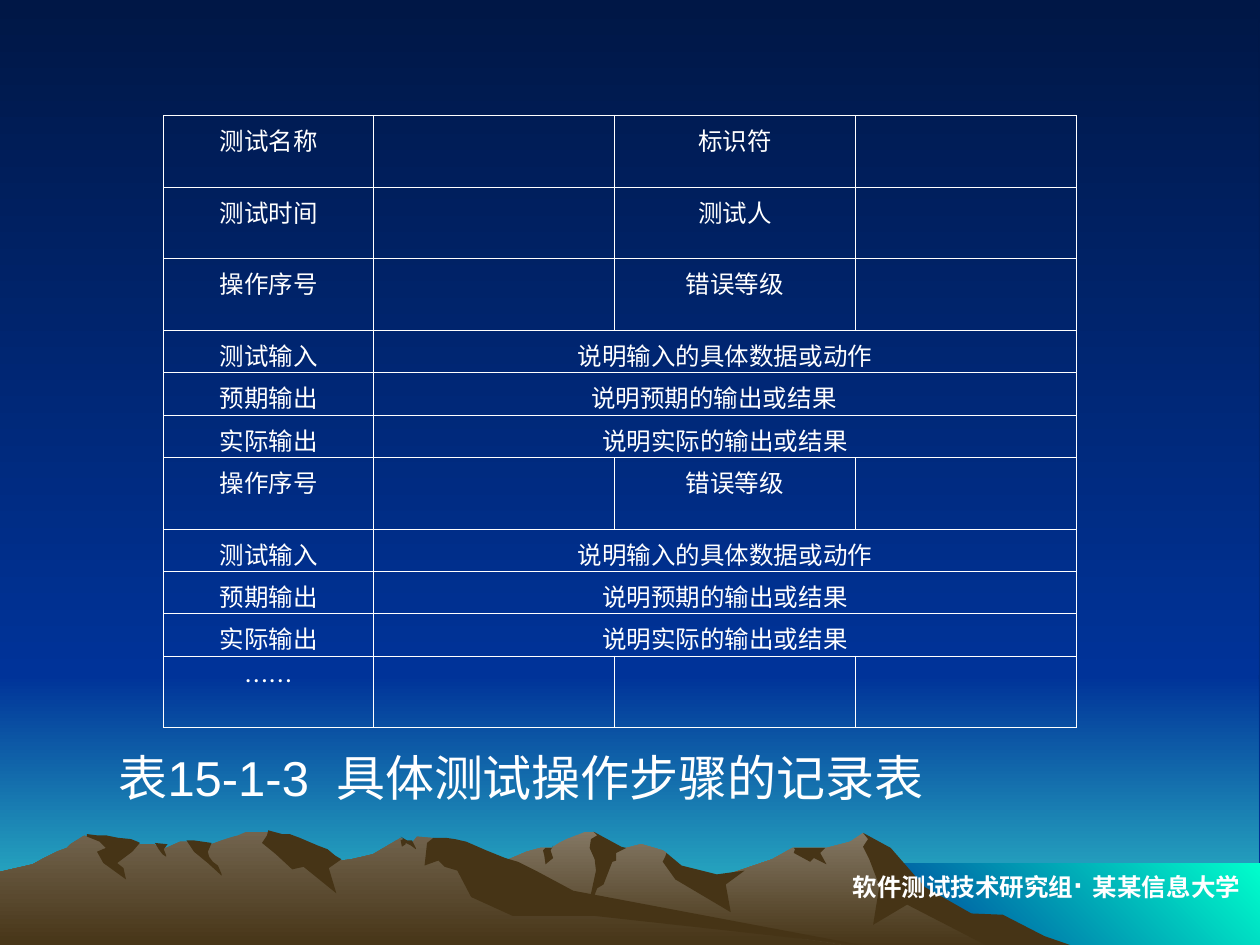
from pptx import Presentation
from pptx.dml.color import RGBColor
from pptx.enum.shapes import MSO_SHAPE as Shape
from pptx.enum.text import MSO_ANCHOR as Anchor, PP_ALIGN as Align
from pptx.oxml import parse_xml
from pptx.oxml.ns import nsdecls
from pptx.util import Pt

COLORS = {
    "night": "001746", "blue": "003399", "horizon": "33CCCC", "mint": "00FFCC",
    "peak": "837763", "ridge": "72644E", "shade": "463416", "white": "FFFFFF",
}
CJK = "Noto Sans CJK SC"
DOWN, DOWN_LEFT = 270, 225
UNIT = Pt(0.72)  # outline coordinates are hundredths of an inch

# Outlines of the mountains, x y pairs from the corner of the slide
RIGHT_RANGE = """802 741 778 728 763 725 723 699 701 673 685 661 675 668 656 673 629 673
613 682 566 698 536 691 529 677 526 675 509 670 497 673 485 675 474 662 471 660 465 660
450 666 444 669 438 673 429 673 418 676 404 682 394 687 355 699 327 711 277 740 258 753
821 753"""
RIGHT_SHADES = [
    """796 726 771 725 734 704 707 673 685 661 689 666 685 672 690 682 698 703 693 734
    720 718 788 753 858 753 829 743""",
    """471 660 474 663 469 666 468 673 472 682 473 691 465 728 474 705 479 702 486 684
    489 683 489 677 497 673 493 672""",
    "529 677 528 680 526 684 536 698 580 724 576 702 591 691 569 694 541 687",
    "649 673 630 673 631 674 630 677 643 684 646 681 656 686 651 677 655 673",
    "432 679 431 675 433 673 438 673 439 671 437 675 439 681 433 686",
]
LEFT_RANGE = """690 753 667 750 432 714 354 666 331 664 327 669 323 669 318 665 296 678
279 682 271 683 259 678 235 682 223 664 212 660 196 660 189 663 179 666 168 670 160 673
148 668 143 668 132 673 127 673 122 670 111 670 94 673 67 663 56 670 53 673 45 676 35 681
26 686 13 689 0 692 0 753"""
LEFT_SHADES = [
    """212 663 208 669 219 678 232 690 241 688 267 709 261 689 271 682 266 679 260 674
    252 671 238 665 230 662 224 662 213 659""",
    """370 668 361 666 354 665 344 665 339 669 337 687 348 683 353 688 363 691 374 712
    407 727 472 727 690 751 683 750 455 707 427 692 411 684 401 681 386 675""",
    """318 667 320 666 318 664 323 667 327 667 330 673 330 674 326 671 322 669 322 670
    319 672""",
    """154 667 161 668 168 669 165 676 166 680 169 684 173 687 176 694 176 695 165 685
    154 676 148 667""",
    "133 670 130 674 132 679 132 680 129 678 126 674 123 669",
    """109 668 111 669 105 676 93 685 98 689 100 698 82 685 77 676 84 673 79 668 69 664
    69 662 77 663 84 663 94 665 104 666""",
]

STEP_ROWS = [
    ("操作序号", "", "错误等级", ""),
    ("测试输入", "说明输入的具体数据或动作"),
    ("预期输出", "说明预期的输出或结果"),
    ("实际输出", "说明实际的输出或结果"),
]
RECORD_ROWS = [
    ("测试名称", "", "标识符", ""),
    ("测试时间", "", "测试人", ""),
    *STEP_ROWS, *STEP_ROWS,
    ("……", "", "", ""),
]
COLUMN_WIDTHS = (120, 137.6, 137.6, 126.2)
TALL, SHORT = 40.97, 24.18
EXPECTED_ROW = 4  # its description sits a little left of centre

CELL_STYLE = {"name": CJK, "size": Pt(14)}
CAPTION_STYLE = {"name": "Arial", "size": Pt(28)}
FOOTER_STYLE = {"name": "Arial", "size": Pt(14), "bold": True}


def rgb(color):
    return RGBColor.from_string(COLORS[color])


def paint(fill, start, end=None, angle=DOWN):
    if end is None:
        fill.solid()
        fill.fore_color.rgb = rgb(start)
        return
    fill.gradient()
    fill.gradient_angle = angle
    for stop, color, position in zip(fill.gradient_stops, (start, end), (0, 1)):
        stop.color.rgb = rgb(color)
        stop.position = position


def finish(shape, *paint_args):
    paint(shape.fill, *paint_args)
    shape.line.fill.background()
    shape.shadow.inherit = False


def add_run(paragraph, text, style):
    run = paragraph.add_run()
    run.text = text
    for name, value in style.items():
        setattr(run.font, name, value)
    run.font.color.rgb = rgb("white")
    properties = run._r.get_or_add_rPr()
    properties.append(parse_xml(f'<a:ea {nsdecls("a")} typeface="{CJK}"/>'))
    return properties


def add_line(slide, box, anchor):
    frame = slide.shapes.add_textbox(*map(Pt, box)).text_frame
    frame.word_wrap = False
    frame.vertical_anchor = anchor
    line = frame.paragraphs[0]
    line.alignment = Align.CENTER
    return line


def add_panel(slide, box, *paint_args):
    finish(slide.shapes.add_shape(Shape.RECTANGLE, *map(Pt, box)), *paint_args)


def add_mountains(slide, corner, outline, shades, top_color):
    layers = [(outline, (top_color, "shade"))] + [(shade, ("shade",)) for shade in shades]
    for layer, colors in layers:
        numbers = [int(number) for number in layer.split()]
        points = list(zip(numbers[::2], numbers[1::2]))
        builder = slide.shapes.build_freeform(*points[0], scale=UNIT)
        builder.add_line_segments(points[1:], close=True)
        finish(builder.convert_to_shape(*map(Pt, corner)), *colors)


def add_borders(cell):
    properties = cell._tc.get_or_add_tcPr()
    for index, side in enumerate("LRTB"):
        properties.insert(index, parse_xml(
            f'<a:ln{side} {nsdecls("a")} w="{Pt(0.45)}"><a:solidFill>'
            f'<a:srgbClr val="{COLORS["white"]}"/></a:solidFill></a:ln{side}>'))


def add_record_table(slide, box):
    frame = slide.shapes.add_table(len(RECORD_ROWS), len(COLUMN_WIDTHS), *map(Pt, box))
    table = frame.table
    table.first_row = table.horz_banding = False
    for column, width in zip(table.columns, COLUMN_WIDTHS):
        column.width = Pt(width)
    for cell in table.iter_cells():
        cell.fill.background()
        cell.margin_bottom = 0
        add_borders(cell)
    for row, texts in enumerate(RECORD_ROWS):
        described = len(texts) == 2
        table.rows[row].height = Pt(SHORT if described else TALL)
        if described:
            table.cell(row, 1).merge(table.cell(row, 3))
        for column, text in enumerate(texts):
            if text:
                entry = table.cell(row, column).text_frame.paragraphs[0]
                entry.alignment = Align.CENTER
                add_run(entry, text, CELL_STYLE)
    table.cell(EXPECTED_ROW, 1).margin_right = Pt(19.8)


def add_caption(slide, box):
    caption = add_line(slide, box, Anchor.MIDDLE)
    add_run(caption, "表15-1-3", CAPTION_STYLE)
    add_run(caption, " ", CAPTION_STYLE).set("spc", "780")  # widened gap
    add_run(caption, "具体测试操作步骤的记录表", CAPTION_STYLE)


def add_footer(slide, box):
    footer = add_line(slide, box, Anchor.TOP)
    footer.space_before = Pt(8.8)
    add_run(footer, "软件测试技术研究组", FOOTER_STYLE)
    add_run(footer, "· ", {**FOOTER_STYLE, "size": Pt(18)})
    add_run(footer, "某某信息大学", FOOTER_STYLE)


def main():
    deck = Presentation()
    deck.slide_width, deck.slide_height = Pt(720), Pt(540)
    slide = deck.slides.add_slide(deck.slide_layouts[6])
    paint(slide.background.fill, "night", "blue")

    # Scenery
    add_panel(slide, (-0.72, 385.92, 720, 155.52), "blue", "horizon")
    add_panel(slide, (-0.72, 1.44, 720, 384.48), "night", "blue")
    add_panel(slide, (491.76, 493.2, 228.24, 48.24), "mint", "blue", DOWN_LEFT)
    add_mountains(slide, (0, 0), RIGHT_RANGE, RIGHT_SHADES, "peak")
    add_mountains(slide, (0, 0), LEFT_RANGE, LEFT_SHADES, "ridge")

    # Content
    add_footer(slide, (475.92, 491.04, 244.08, 28.8))
    add_record_table(slide, (93.6, 66, sum(COLUMN_WIDTHS), 350))
    add_caption(slide, (54, 423.36, 487.44, 41.04))
    deck.save("out.pptx")


if __name__ == "__main__":
    main()
